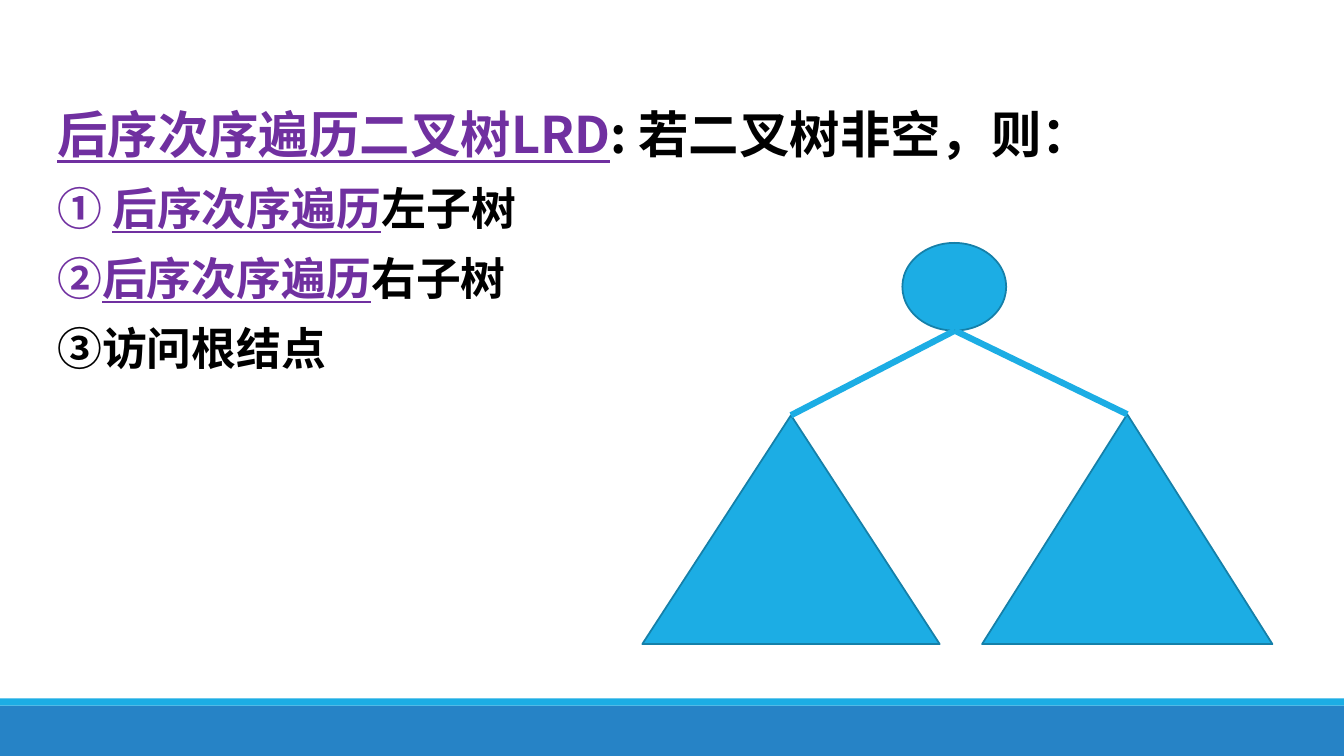
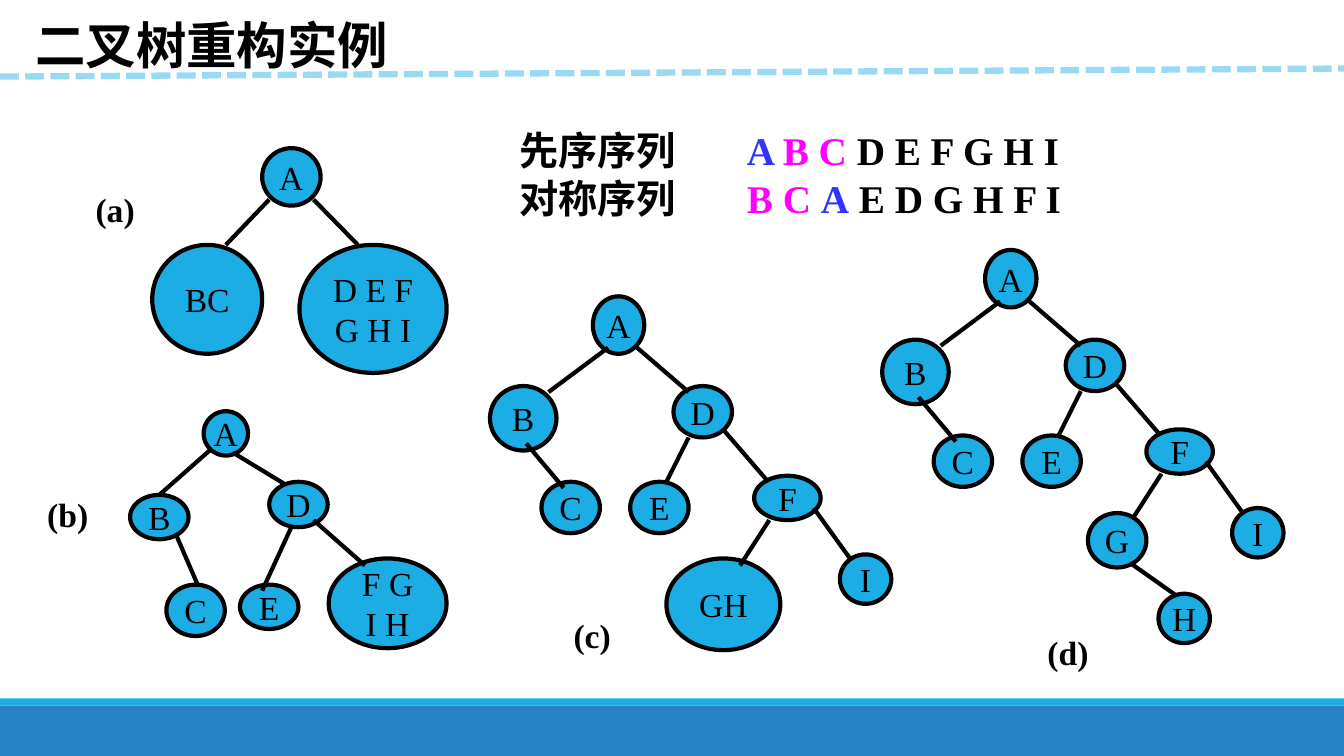
from dataclasses import dataclass

from pptx import Presentation
from pptx.dml.color import RGBColor
from pptx.enum.dml import MSO_LINE
from pptx.enum.shapes import MSO_CONNECTOR, MSO_SHAPE
from pptx.enum.text import MSO_ANCHOR, MSO_AUTO_SIZE, PP_ALIGN
from pptx.oxml.xmlchemy import OxmlElement
from pptx.util import Inches, Pt

# Enum members
RECTANGLE = MSO_SHAPE.RECTANGLE
ELLIPSE = MSO_SHAPE.OVAL
TRIANGLE = MSO_SHAPE.ISOSCELES_TRIANGLE
STRAIGHT = MSO_CONNECTOR.STRAIGHT
SHORT_DASH = MSO_LINE.SQUARE_DOT
TOP, MIDDLE = MSO_ANCHOR.TOP, MSO_ANCHOR.MIDDLE
LEFT, CENTER = PP_ALIGN.LEFT, PP_ALIGN.CENTER
NO_FIT = MSO_AUTO_SIZE.NONE

# Colours and fonts
BLACK = RGBColor(0x00, 0x00, 0x00)
SKY = RGBColor(0x1C, 0xAD, 0xE4)
SKY_DARK = RGBColor(0x15, 0x80, 0xA9)
SKY_LIGHT = RGBColor(0x99, 0xDA, 0xF3)
BAND_BLUE = RGBColor(0x26, 0x83, 0xC6)
PURPLE = RGBColor(0x70, 0x30, 0xA0)
BLUE = RGBColor(0x33, 0x33, 0xFF)
MAGENTA = RGBColor(0xFF, 0x00, 0xFF)
CHINESE = "Noto Sans CJK SC"
LATIN = "Times New Roman"

SLIDE_WIDTH, SLIDE_HEIGHT = 13.33, 7.5
TITLE_ONLY, BLANK = 5, 6
LINE_FACTOR = 1.2


@dataclass(frozen=True)
class Span:
    text: str
    color: RGBColor = BLACK
    font: str = CHINESE
    underline: bool = False


@dataclass(frozen=True)
class Node:
    label: str
    left: float
    top: float
    width: float = 0.58
    height: float = 0.51


@dataclass(frozen=True)
class Edge:
    x1: float
    y1: float
    x2: float
    y2: float


@dataclass(frozen=True)
class Tree:
    caption: str
    caption_left: float
    caption_top: float
    nodes: list[Node]
    edges: list[Edge]


# Trees (c) and (d) share their upper part
UPPER_NODES = [
    Node("A", 5.88, 2.94, 0.51, 0.57),
    Node("B", 4.86, 3.83, 0.66, 0.64),
    Node("D", 6.68, 3.83),
    Node("C", 5.37, 4.78),
    Node("E", 6.25, 4.78),
    Node("F", 7.48, 4.72, 0.66, 0.44),
    Node("I", 8.33, 5.5, 0.51, 0.49),
]
UPPER_EDGES = [
    Edge(6.03, 3.45, 5.44, 3.89),
    Edge(6.32, 3.45, 6.83, 3.89),
    Edge(5.22, 4.4, 5.59, 4.84),
    Edge(6.83, 4.34, 6.61, 4.78),
    Edge(7.18, 4.27, 7.62, 4.78),
    Edge(7.63, 5.16, 7.34, 5.61),
    Edge(8.07, 5.04, 8.43, 5.54),
]
SHIFT_X, SHIFT_Y = 3.89, -0.46

TREES = [
    Tree("(a)", 0.85, 1.83,
         [Node("A", 2.6, 1.47, 0.58, 0.57),
          Node("BC", 1.51, 2.43, 1.09, 1.08),
          Node("D E F\nG H I", 2.97, 2.43, 1.46, 1.27)],
         [Edge(2.67, 1.98, 2.24, 2.43),
          Edge(3.11, 1.98, 3.55, 2.43)]),
    Tree("(b)", 0.37, 4.85,
         [Node("A", 2.02, 4.08, 0.44, 0.44),
          Node("B", 1.29, 4.91, 0.58, 0.44),
          Node("D", 2.67, 4.78, 0.58, 0.45),
          Node("C", 1.65, 5.8),
          Node("E", 2.38, 5.8, 0.58, 0.44),
          Node("F G\nI H", 3.26, 5.54, 1.17, 0.89)],
         [Edge(2.09, 4.46, 1.58, 4.91),
          Edge(1.74, 5.29, 1.96, 5.8),
          Edge(2.89, 5.23, 2.6, 5.86),
          Edge(2.31, 4.49, 2.82, 4.8),
          Edge(3.11, 5.16, 3.62, 5.61)]),
    Tree("(c)", 5.59, 6.05,
         UPPER_NODES + [Node("GH", 6.61, 5.54, 1.13, 0.91)],
         UPPER_EDGES),
    Tree("(d)", 10.29, 6.22,
         [Node(node.label, node.left + SHIFT_X, node.top + SHIFT_Y, node.width, node.height)
          for node in UPPER_NODES]
         + [Node("G", 10.79, 5.09, 0.58, 0.54), Node("H", 11.49, 5.89, 0.51, 0.49)],
         [Edge(edge.x1 + SHIFT_X, edge.y1 + SHIFT_Y, edge.x2 + SHIFT_X, edge.y2 + SHIFT_Y)
          for edge in UPPER_EDGES]
         + [Edge(11.23, 5.6, 11.67, 5.91)]),
]

HEADING = [Span("后序次序遍历二叉树LRD", PURPLE, underline=True), Span(": 若二叉树非空，则：")]
STEPS = [
    [Span(" ", PURPLE), Span("后序次序遍历", PURPLE, underline=True), Span("左子树")],
    [Span("后序次序遍历", PURPLE, underline=True), Span("右子树")],
    [Span("访问根结点")],
]
SEQUENCES = [
    [Span("先序序列\t"), Span("A ", BLUE, LATIN), Span("B C", MAGENTA, LATIN),
     Span(" D E F G H I", BLACK, LATIN)],
    [Span("对称序列\t"), Span("B C ", MAGENTA, LATIN), Span("A", BLUE, LATIN),
     Span(" E D G H F I", BLACK, LATIN)],
]


def add_spans(paragraph, spans: list[Span], size: float, bold: bool = True) -> None:
    for span in spans:
        run = paragraph.add_run()
        run.text = span.text
        font = run.font
        font.size, font.bold, font.underline = Pt(size), bold, span.underline
        font.color.rgb = span.color
        font.name = span.font
        east_asian = OxmlElement("a:ea")
        east_asian.set("typeface", span.font)
        font._element.append(east_asian)


def set_line_height(paragraph, size: float, factor: float = 1) -> None:
    paragraph.line_spacing = Pt(round(size * LINE_FACTOR * factor))


def add_text_box(slide, left: float, top: float, width: float, height: float,
                 wrap: bool = True):
    box = slide.shapes.add_textbox(Inches(left), Inches(top), Inches(width), Inches(height))
    box.text_frame.word_wrap = wrap
    return box.text_frame


def add_filled_shape(slide, kind, left: float, top: float, width: float, height: float,
                     fill: RGBColor = SKY, line: RGBColor | None = None,
                     line_width: float = 1.25):
    shape = slide.shapes.add_shape(kind, Inches(left), Inches(top), Inches(width), Inches(height))
    shape.shadow.inherit = False
    shape.fill.solid()
    shape.fill.fore_color.rgb = fill
    if line is None:
        shape.line.fill.background()
    else:
        shape.line.color.rgb = line
        shape.line.width = Pt(line_width)
    return shape


def add_line(slide, edge: Edge, color: RGBColor = BLACK, width: float = 3):
    connector = slide.shapes.add_connector(
        STRAIGHT, Inches(edge.x1), Inches(edge.y1), Inches(edge.x2), Inches(edge.y2))
    connector.line.color.rgb = color
    connector.line.width = Pt(width)
    connector._element.spPr.append(OxmlElement("a:effectLst"))
    return connector


def add_node(slide, node: Node) -> None:
    shape = add_filled_shape(slide, ELLIPSE, node.left, node.top, node.width, node.height,
                             line=BLACK, line_width=3)
    frame = shape.text_frame
    frame.word_wrap, frame.vertical_anchor = False, MIDDLE
    for index, text in enumerate(node.label.split("\n")):
        paragraph = frame.add_paragraph() if index else frame.paragraphs[0]
        paragraph.alignment = CENTER
        add_spans(paragraph, [Span(text, font=LATIN)], 24, bold=False)


def add_tree(slide, tree: Tree) -> None:
    for node in tree.nodes:
        add_node(slide, node)
    for edge in tree.edges:
        add_line(slide, edge)
    frame = add_text_box(slide, tree.caption_left, tree.caption_top, 0.8, 0.5)
    add_spans(frame.paragraphs[0], [Span(tree.caption, font=LATIN)], 24)


def add_slide(presentation, layout: int):
    """Add a slide with the two bands along its lower edge."""
    slide = presentation.slides.add_slide(presentation.slide_layouts[layout])
    add_filled_shape(slide, RECTANGLE, 0, 7, SLIDE_WIDTH, 0.5, BAND_BLUE)
    add_filled_shape(slide, RECTANGLE, 0, 6.93, SLIDE_WIDTH, 0.07)
    return slide


def set_title(slide, text: str) -> None:
    title = slide.shapes.title
    title.left, title.top = Inches(0.25), Inches(0.09)
    title.width, title.height = Inches(3.74), Inches(0.71)
    frame = title.text_frame
    frame.word_wrap, frame.auto_size, frame.vertical_anchor = False, NO_FIT, TOP
    paragraph = frame.paragraphs[0]
    paragraph.alignment = LEFT
    paragraph.space_before = Pt(0)
    set_line_height(paragraph, 36)
    add_spans(paragraph, [Span(text)], 36)


def number_with_circle(paragraph) -> None:
    properties = paragraph._p.get_or_add_pPr()
    properties.set("marL", str(Inches(0.38)))
    properties.set("indent", str(-Inches(0.38)))
    numbering = OxmlElement("a:buAutoNum")
    numbering.set("type", "circleNumDbPlain")
    properties.append(numbering)


def add_tab_stop(paragraph, position: float) -> None:
    tab_list, tab = OxmlElement("a:tabLst"), OxmlElement("a:tab")
    tab.set("pos", str(Inches(position)))
    tab.set("algn", "l")
    tab_list.append(tab)
    paragraph._p.get_or_add_pPr().append(tab_list)


def build_postorder_slide(presentation) -> None:
    slide = add_slide(presentation, BLANK)

    # Rule and its numbered steps
    frame = add_text_box(slide, 0.47, 0.8, 10.61, 2.99, wrap=False)
    set_line_height(frame.paragraphs[0], 36, 1.3)
    add_spans(frame.paragraphs[0], HEADING, 36)
    for step in STEPS:
        paragraph = frame.add_paragraph()
        set_line_height(paragraph, 32, 1.3)
        number_with_circle(paragraph)
        add_spans(paragraph, step, 32)

    # Root with its left and right subtrees
    add_filled_shape(slide, ELLIPSE, 8.95, 2.41, 1.03, 0.87, line=SKY_DARK)
    for left, top, width, height in ((6.37, 4.12, 2.95, 2.27), (9.74, 4.11, 2.88, 2.28)):
        subtree = add_filled_shape(slide, TRIANGLE, left, top, width, height, line=SKY_DARK)
        branch = add_line(slide, Edge(9.47, 3.28, left + width / 2, top), SKY, 4.5)
        branch.end_connect(subtree, 0)


def build_reconstruction_slide(presentation) -> None:
    slide = add_slide(presentation, TITLE_ONLY)
    set_title(slide, "二叉树重构实例")
    rule = add_line(slide, Edge(0, 0.76, SLIDE_WIDTH, 0.68), SKY_LIGHT, 4.5)
    rule.line.dash_style = SHORT_DASH

    # Preorder and inorder sequences
    frame = add_text_box(slide, 5.05, 1.2, 6.71, 1.04)
    for index, sequence in enumerate(SEQUENCES):
        paragraph = frame.add_paragraph() if index else frame.paragraphs[0]
        set_line_height(paragraph, 28)
        add_tab_stop(paragraph, 2.26)
        add_spans(paragraph, sequence, 28)

    # Stages of the reconstruction
    for tree in TREES:
        add_tree(slide, tree)


def main() -> None:
    presentation = Presentation()
    presentation.slide_width = Inches(SLIDE_WIDTH)
    presentation.slide_height = Inches(SLIDE_HEIGHT)
    build_postorder_slide(presentation)
    build_reconstruction_slide(presentation)
    presentation.save("out.pptx")


if __name__ == "__main__":
    main()
